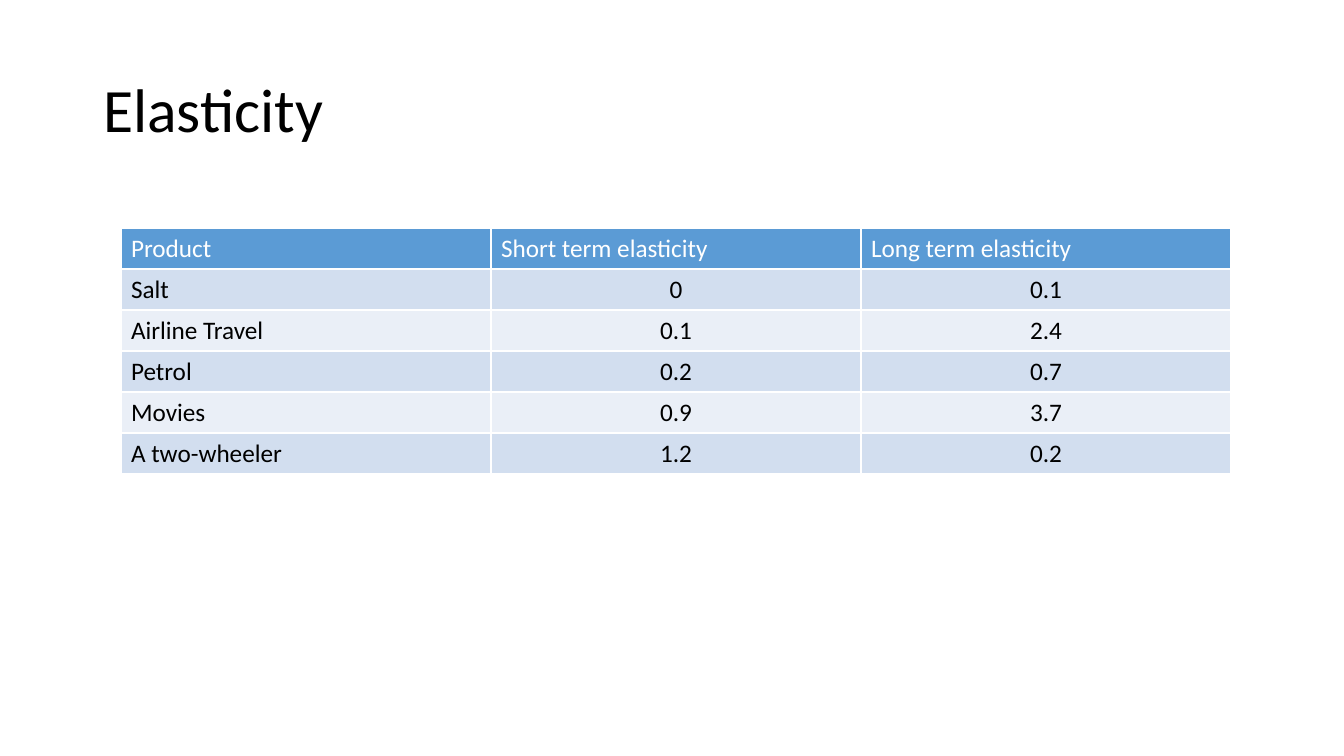
from pptx import Presentation
from pptx.dml.color import RGBColor
from pptx.enum.text import MSO_ANCHOR, PP_ALIGN
from pptx.util import Pt

LEFT, CENTER = PP_ALIGN.LEFT, PP_ALIGN.CENTER
MIDDLE = MSO_ANCHOR.MIDDLE
BLACK = RGBColor(0x00, 0x00, 0x00)
WHITE = RGBColor(0xFF, 0xFF, 0xFF)
BLUE = RGBColor(0x5B, 0x9B, 0xD5)
BANDS = RGBColor(0xEA, 0xEF, 0xF7), RGBColor(0xD2, 0xDE, 0xEF)

ROWS = [
    ("Product", "Short term elasticity", "Long term elasticity"),
    ("Salt", "0", "0.1"),
    ("Airline Travel", "0.1", "2.4"),
    ("Petrol", "0.2", "0.7"),
    ("Movies", "0.9", "3.7"),
    ("A two-wheeler", "1.2", "0.2"),
]


def px(count):
    return round(count * 914400 / 100.8)


class Deck:
    font = "Calibri"

    def __init__(self, width, height):
        self.show = Presentation()
        self.show.slide_width, self.show.slide_height = px(width), px(height)
        self.slide = self.show.slides.add_slide(self.show.slide_layouts[5])

    def style(self, para, size, color, align):
        para.font.name = self.font
        para.font.size = Pt(size)
        para.font.color.rgb = color
        para.alignment = align

    def title(self, text, left, top, width, height):
        shape = self.slide.shapes.title
        shape.left, shape.top = px(left), px(top)
        shape.width, shape.height = px(width), px(height)
        frame = shape.text_frame
        frame.text = text
        frame.vertical_anchor = MIDDLE
        para = frame.paragraphs[0]
        para.line_spacing = 0.9
        self.style(para, 44, BLACK, LEFT)

    def table(self, rows, left, top, width, height):
        """Width and height are those of one cell."""
        count, span = len(rows), len(rows[0])
        table = self.slide.shapes.add_table(
            count, span, px(left), px(top),
            px(width * span), px(height * count)).table
        for col in table.columns:
            col.width = px(width)
        for r, texts in enumerate(rows):
            table.rows[r].height = px(height)
            for c, text in enumerate(texts):
                head = r == 0
                cell = table.cell(r, c)
                cell.fill.solid()
                cell.fill.fore_color.rgb = BLUE if head else BANDS[r % 2]
                cell.text = text
                para = cell.text_frame.paragraphs[0]
                para.runs[0].font.bold = False
                self.style(para, 18, WHITE if head else BLACK,
                           LEFT if head or c == 0 else CENTER)


def main():
    deck = Deck(1344, 756)
    # Heading
    deck.title("Elasticity", 93, 40, 1159, 146)
    # Elasticity of each product
    deck.table(ROWS, 121, 228, 370, 41)
    deck.show.save("out.pptx")


if __name__ == "__main__":
    main()
